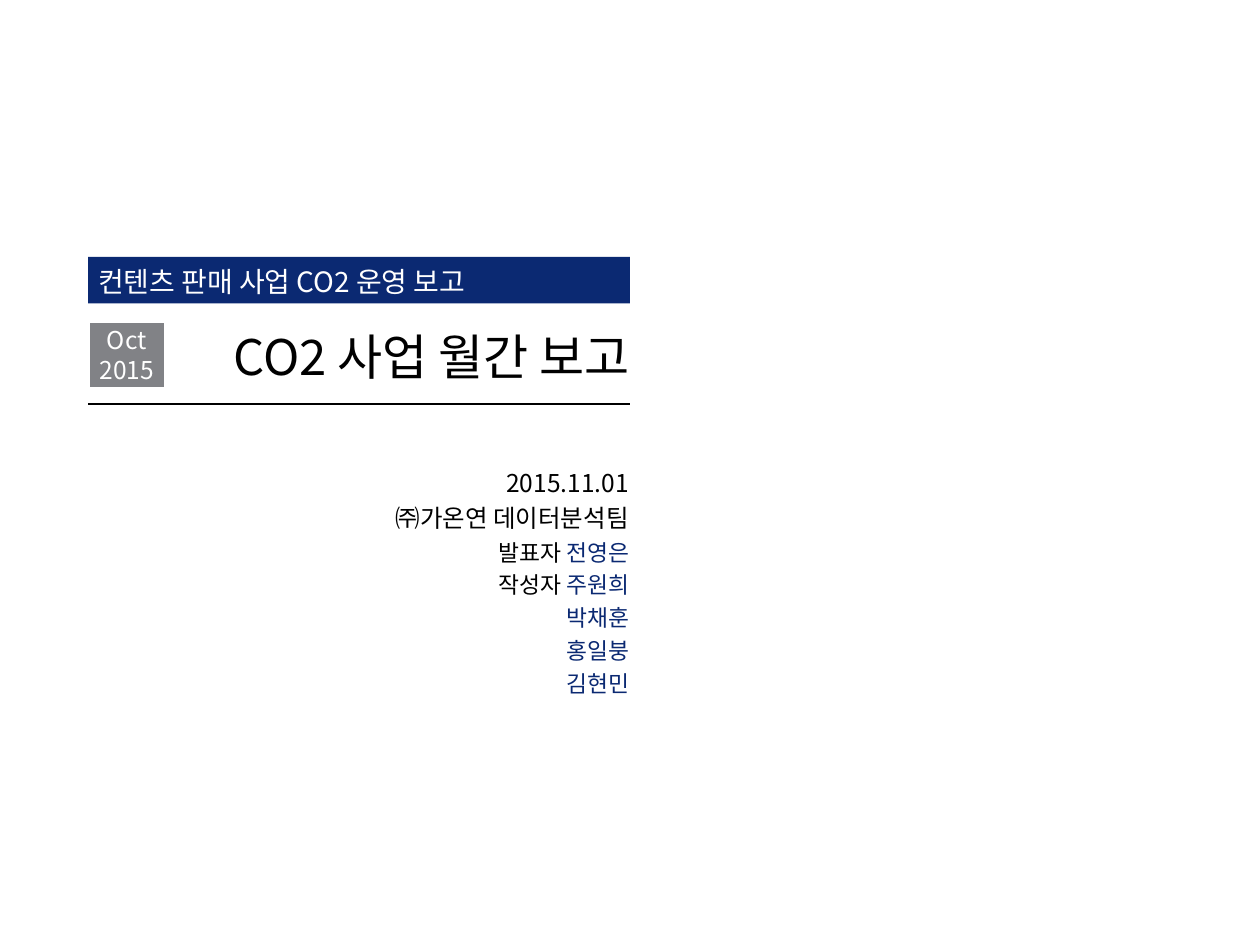
from lxml.etree import SubElement
from pptx import Presentation
from pptx.dml.color import RGBColor
from pptx.enum.shapes import MSO_CONNECTOR, MSO_SHAPE
from pptx.enum.text import MSO_ANCHOR, MSO_AUTO_SIZE, PP_ALIGN
from pptx.oxml.ns import qn
from pptx.util import Cm, Pt

NAVY = RGBColor(0x0B, 0x29, 0x72)
GRAY = RGBColor(0x81, 0x82, 0x86)
BLACK = RGBColor(0, 0, 0)
WHITE = RGBColor(255, 255, 255)

LEFT, RIGHT = 1.78, 12.7
WIDTH = RIGHT - LEFT

# Label, name and text size of each line under the rule
CREDITS = [
    ("2015.11.01", "", 14),
    ("㈜가온연 데이터분석팀", "", 14),
    ("발표자 ", "전영은", 13),
    ("작성자 ", "주원희", 13),
    ("", "박채훈", 13),
    ("", "홍일붕", 13),
    ("", "김현민", 13),
]


class Cover:
    font = "Noto Sans CJK KR"

    def __init__(self, slide):
        self.slide = slide

    def style(self, run, size, color):
        run.font.size = Pt(size)
        run.font.color.rgb = color
        run.font.name = self.font
        # Korean glyphs take the East Asian typeface
        props = run.font._element
        SubElement(props, qn("a:ea")).set("typeface", self.font)

    def frame(self, shape, anchor, inset=0):
        """Prepare the text frame: wrapped, fixed size, tight margins."""
        frame = shape.text_frame
        frame.word_wrap = True
        frame.auto_size = MSO_AUTO_SIZE.NONE
        frame.vertical_anchor = anchor
        frame.margin_left = Cm(inset)
        frame.margin_right = frame.margin_top = frame.margin_bottom = 0
        return frame

    def label(self, frame, text, size, color, align, space):
        frame.text = text
        for para in frame.paragraphs:
            para.alignment = align
            para.line_spacing = space
            for run in para.runs:
                self.style(run, size, color)

    def place(self, shape, left, top, width, height):
        shape.left, shape.top = Cm(left), Cm(top)
        shape.width, shape.height = Cm(width), Cm(height)

    def title(self, text, *box):
        shape = self.slide.shapes.title
        self.place(shape, *box)
        frame = self.frame(shape, MSO_ANCHOR.MIDDLE)
        self.label(frame, text, 28, BLACK, PP_ALIGN.RIGHT, 1.07)

    def credits(self, lines, *box):
        shape = self.slide.placeholders[1]
        self.place(shape, *box)
        frame = self.frame(shape, MSO_ANCHOR.TOP)
        for i, (label, name, size) in enumerate(lines):
            para = frame.add_paragraph() if i else frame.paragraphs[0]
            para.alignment = PP_ALIGN.RIGHT
            para.line_spacing = 1.2
            para.space_before = Pt(0)
            for text, color in ((label, BLACK), (name, NAVY)):
                if text:
                    run = para.add_run()
                    run.text = text
                    self.style(run, size, color)

    def block(self, text, fill, size, align, space, inset, *box):
        shape = self.slide.shapes.add_shape(
            MSO_SHAPE.RECTANGLE, *(Cm(n) for n in box))
        shape.shadow.inherit = False
        shape.fill.solid()
        shape.fill.fore_color.rgb = fill
        shape.line.fill.background()
        frame = self.frame(shape, MSO_ANCHOR.MIDDLE, inset)
        self.label(frame, text, size, WHITE, align, space)
        return shape

    def rule(self, top):
        line = self.slide.shapes.add_connector(
            MSO_CONNECTOR.STRAIGHT, Cm(LEFT), Cm(top), Cm(RIGHT), Cm(top))
        line.line.color.rgb = BLACK
        line.line.width = Pt(1)
        SubElement(line._element.spPr, qn("a:effectLst"))


def main():
    deck = Presentation()
    deck.slide_width, deck.slide_height = Cm(25.4), Cm(19.05)
    cover = Cover(deck.slides.add_slide(deck.slide_layouts[0]))

    cover.credits(CREDITS, 6.53, 9.32, 6.15, 1.57)
    cover.title("CO2 사업 월간 보고", 3.12, 6.43, RIGHT - 3.12, 1.4)
    cover.block("컨텐츠 판매 사업 CO2 운영 보고", NAVY, 16, PP_ALIGN.LEFT, 1.07,
                0.2, LEFT, 5.18, WIDTH, 0.94)
    badge = cover.block("Oct\n2015", GRAY, 14, PP_ALIGN.CENTER, 1,
                        0, LEFT, 6.48, 1.55, 1.35)
    badge.line.color.rgb = WHITE
    badge.line.width = Pt(1.5)
    cover.rule(8.15)

    deck.save("out.pptx")


if __name__ == "__main__":
    main()
